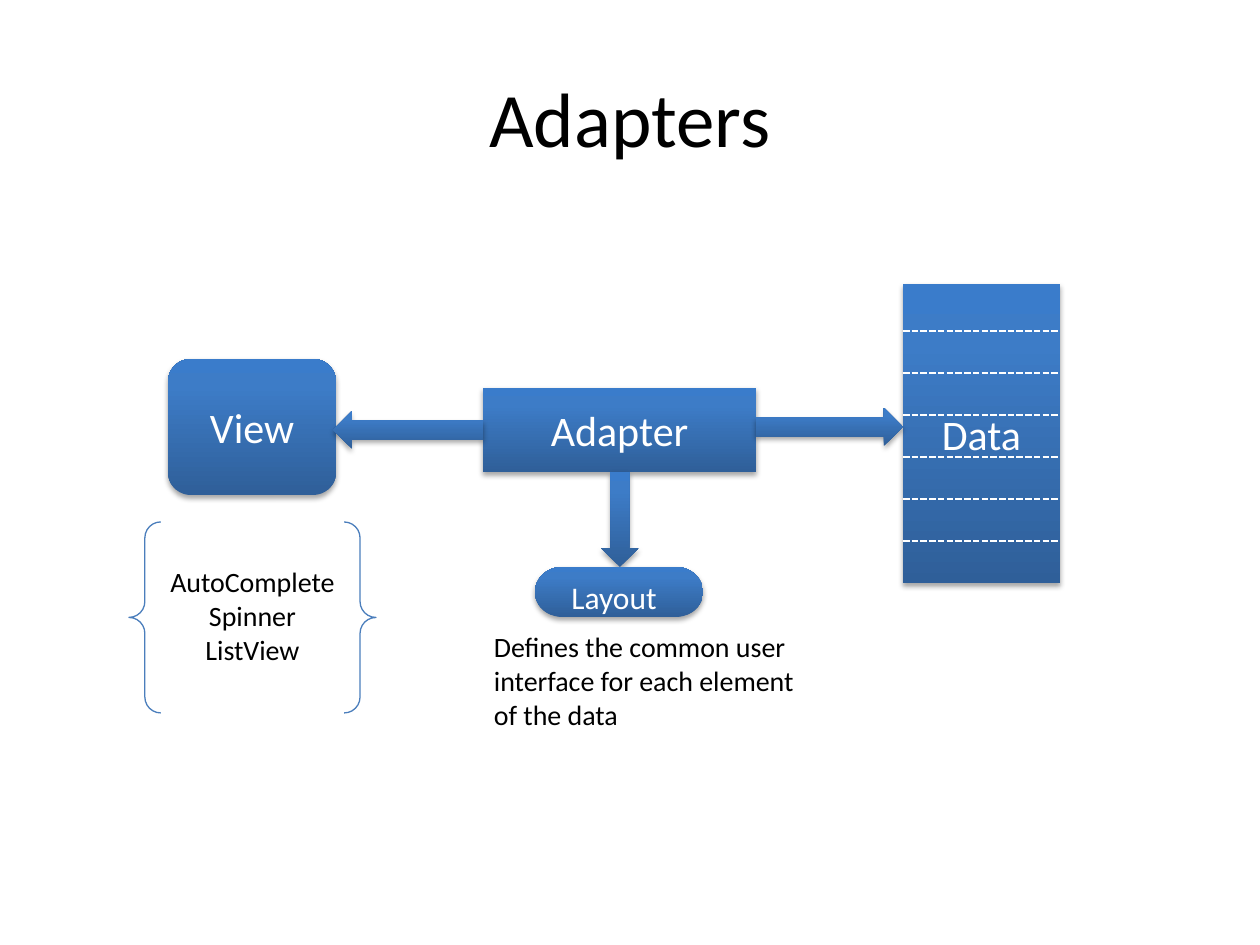
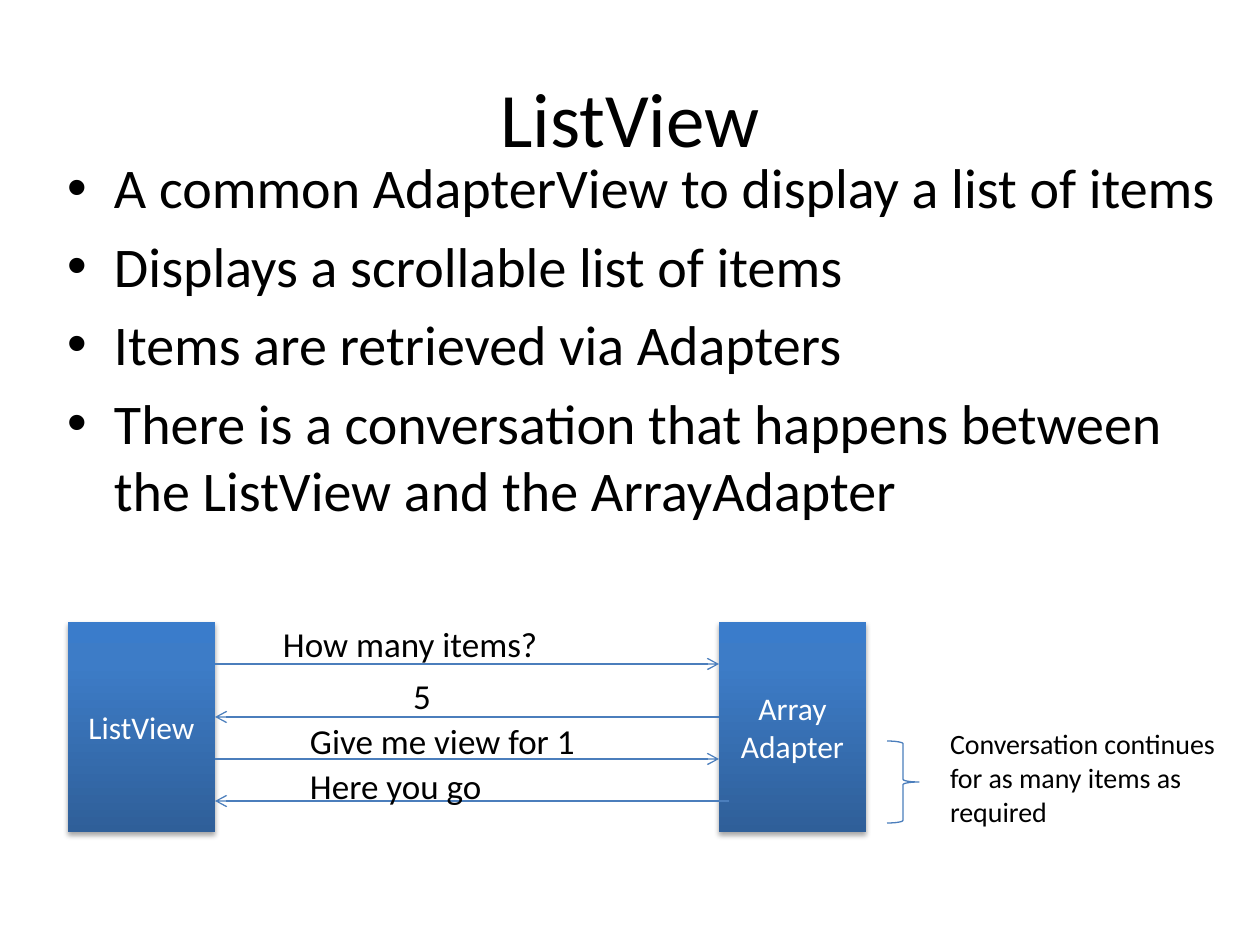
from pptx import Presentation
from pptx.dml.color import RGBColor
from pptx.enum.dml import MSO_LINE
from pptx.enum.shapes import MSO_CONNECTOR, MSO_SHAPE
from pptx.enum.text import MSO_ANCHOR, PP_ALIGN
from pptx.oxml import parse_xml
from pptx.oxml.ns import nsdecls, qn
from pptx.util import Pt

UNIT = 914400 / 126  # EMU in one pixel
FONT = "Calibri"
HUES = {
    "ink": "000000", "white": "FFFFFF", "line": "4B7EBC",
    "low": "2F5F99", "mid": "3D7CC7", "high": "3A7CCB",
}
STOPS = ((0, "low"), (80, "mid"), (100, "high"))
INSET = (13, 6, 13, 6)


def px(num):
    return round(num * UNIT)


def hue(name):
    return RGBColor.from_string(HUES[name])


def write(shape, text, size=16, color="ink", align=PP_ALIGN.LEFT,
          anchor=MSO_ANCHOR.TOP, inset=(0, 0, 0, 0), bullet=None):
    """Write one paragraph for each line of text."""
    frame = shape.text_frame
    frame.word_wrap = True
    frame.vertical_anchor = anchor
    (frame.margin_left, frame.margin_top,
     frame.margin_right, frame.margin_bottom) = map(px, inset)
    for num, line in enumerate(text.split("\n")):
        para = frame.add_paragraph() if num else frame.paragraphs[0]
        para.alignment = align
        run = para.add_run()
        run.text = line
        run.font.name, run.font.size = FONT, Pt(size)
        run.font.color.rgb = hue(color)
        if bullet:
            para.space_before = Pt(size * 0.2)
            props = para._p.get_or_add_pPr()
            props.set("marL", str(px(47)))
            props.set("indent", str(px(-47)))
            props.append(parse_xml(f'<a:buFont {nsdecls("a")} typeface="Arial"/>'))
            props.append(parse_xml(f'<a:buChar {nsdecls("a")} char="{bullet}"/>'))


def label(slide, box, text, **form):
    write(slide.shapes.add_textbox(*map(px, box)), text, **form)


def center(shape, text, **form):
    write(shape, text, align=PP_ALIGN.CENTER, anchor=MSO_ANCHOR.MIDDLE,
          **{"inset": INSET, **form})


def block(slide, kind, box, text="", size=24, **form):
    """Shape with the blue gradient and a soft shadow."""
    shape = slide.shapes.add_shape(kind, *map(px, box))
    shape.fill.background()
    shape.line.fill.background()
    shape.shadow.inherit = False
    props = shape._element.spPr
    stops = "".join(f'<a:gs pos="{pos * 1000}"><a:srgbClr val="{HUES[name]}"/></a:gs>'
                    for pos, name in STOPS)
    props.replace(props.find(qn("a:noFill")), parse_xml(
        f'<a:gradFill {nsdecls("a")} rotWithShape="1"><a:gsLst>{stops}</a:gsLst>'
        '<a:lin ang="16200000" scaled="0"/></a:gradFill>'))
    props.find(qn("a:effectLst")).append(parse_xml(
        f'<a:outerShdw {nsdecls("a")} blurRad="{Pt(3.1)}" dist="{Pt(1.8)}" '
        f'dir="5400000" rotWithShape="0"><a:srgbClr val="{HUES["ink"]}">'
        '<a:alpha val="35000"/></a:srgbClr></a:outerShdw>'))
    if text:
        center(shape, text, size=size, color="white", **form)


def brace(slide, kind, box):
    shape = slide.shapes.add_shape(kind, *map(px, box))
    shape.fill.background()
    shape.line.color.rgb, shape.line.width = hue("line"), Pt(0.75)
    shape.shadow.inherit = False
    return shape


def rule(slide, start, end, color="line", width=0.75, dash=None, head=False):
    link = slide.shapes.add_connector(
        MSO_CONNECTOR.STRAIGHT, *map(px, (*start, *end)))
    link.line.color.rgb, link.line.width = hue(color), Pt(width)
    if dash:
        link.line.dash_style = dash
    props = link._element.spPr
    if head:
        props.find(qn("a:ln")).append(
            parse_xml(f'<a:tailEnd {nsdecls("a")} type="arrow"/>'))
    props.append(parse_xml(f'<a:effectLst {nsdecls("a")}/>'))


def page(deck, title):
    slide = deck.slides.add_slide(deck.slide_layouts[6])
    label(slide, (63, 38, 1134, 157), title, size=44, inset=INSET,
          align=PP_ALIGN.CENTER, anchor=MSO_ANCHOR.MIDDLE)
    return slide


def view(slide, box):
    """View block with its kinds listed in braces below."""
    x, y, w, h = box
    block(slide, MSO_SHAPE.ROUNDED_RECTANGLE, box, "View")
    pair = brace(slide, MSO_SHAPE.DOUBLE_BRACE, (x - 39, y + h + 27, w + 79, 191))
    center(pair, "AutoComplete\nSpinner\nListView", inset=(13, 6, 13, 26))


def data(slide, box):
    """Data block cut into rows by dashed lines."""
    x, y, w, h = box
    block(slide, MSO_SHAPE.RECTANGLE, box, "Data")
    for row in range(6):
        top = y + 47 + 42 * row
        rule(slide, (x, top), (x + w, top), color="white", width=1.25,
             dash=MSO_LINE.SQUARE_DOT)


def hub(slide, box):
    """Adapter block, its three arrows and the layout below."""
    x, y, w, h = box
    block(slide, MSO_SHAPE.RECTANGLE, box, "Adapter")
    block(slide, MSO_SHAPE.DOWN_ARROW, (x + 118, y + h, 38, 95))
    block(slide, MSO_SHAPE.LEFT_ARROW, (x - 150, y + 23, 150, 38))
    block(slide, MSO_SHAPE.RIGHT_ARROW, (x + w, y + 20, 147, 38))
    low = y + h + 95
    block(slide, MSO_SHAPE.FLOWCHART_TERMINATOR, (x + 52, low, 168, 50),
          "Layout", size=18, inset=(13, 9, 23, 0))
    label(slide, (x + 11, low + 63, 315, 102),
          "Defines the common user interface for each element of the data")


def talk(slide, box):
    """Two parties and the messages that pass between them."""
    x, y, w, h = box
    side = 147
    left, right = x + side, x + w - side
    block(slide, MSO_SHAPE.RECTANGLE, (x, y, side, h), "ListView", size=18)
    block(slide, MSO_SHAPE.RECTANGLE, (right, y, side, h), "Array Adapter", size=18)
    # Text, its offset and width, line height, start and end of the arrow
    notes = (
        ("How many items?", 215, 0, 330, 42, left, right),
        ("5", 345, 52, 118, 95, right, left),
        ("Give me view for 1", 242, 97, 325, 137, left, right),
        ("Here you go", 242, 142, 273, 179, right + 10, left),
    )
    for text, dx, dy, wide, drop, start, end in notes:
        rule(slide, (start, y + drop), (end, y + drop), head=True)
        label(slide, (x + dx, y + dy, wide, 43), text, size=20)
    # Remark at the right
    brace(slide, MSO_SHAPE.RIGHT_BRACE, (x + w + 21, y + 119, 32, 82))
    label(slide, (x + w + 84, y + 105, 284, 102),
          "Conversation continues for as many items as required")


deck = Presentation()
deck.slide_width, deck.slide_height = px(1260), px(945)

# Adapters
slide = page(deck, "Adapters")
view(slide, (168, 359, 168, 136))
data(slide, (903, 284, 157, 299))
hub(slide, (483, 388, 273, 84))

# ListView
slide = page(deck, "ListView")
label(slide, (54, 147, 1179, 766),
      "A common AdapterView to display a list of items\n"
      "Displays a scrollable list of items\n"
      "Items are retrieved via Adapters\n"
      "There is a conversation that happens between the ListView and the ArrayAdapter",
      size=32, inset=INSET, bullet="•")
talk(slide, (68, 622, 798, 210))

deck.save("out.pptx")
